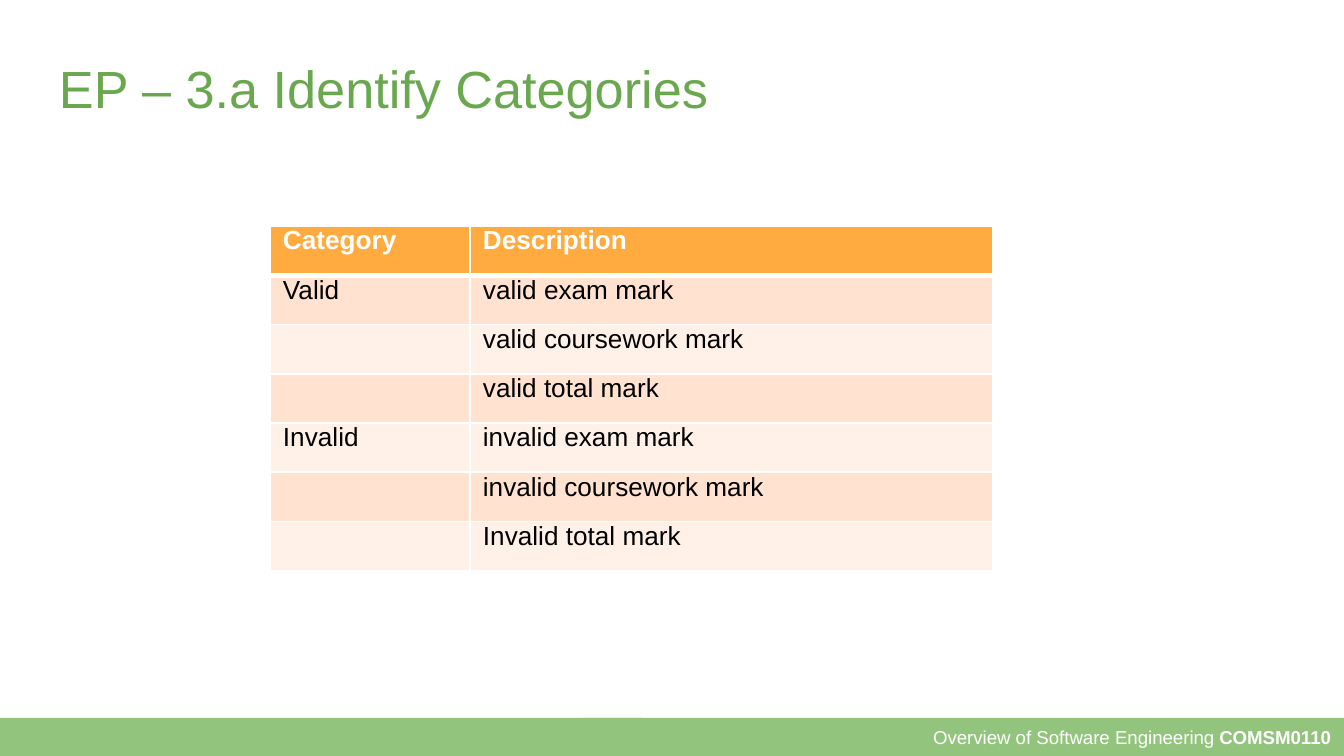
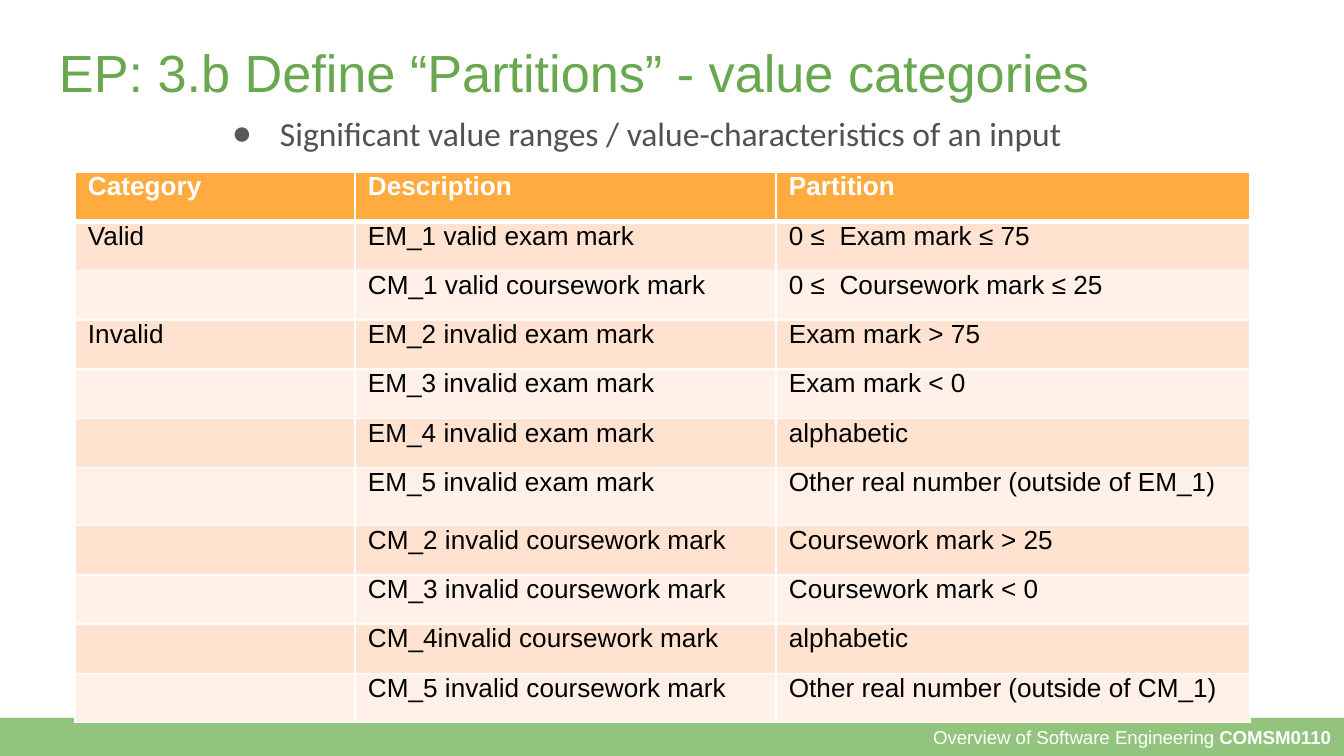
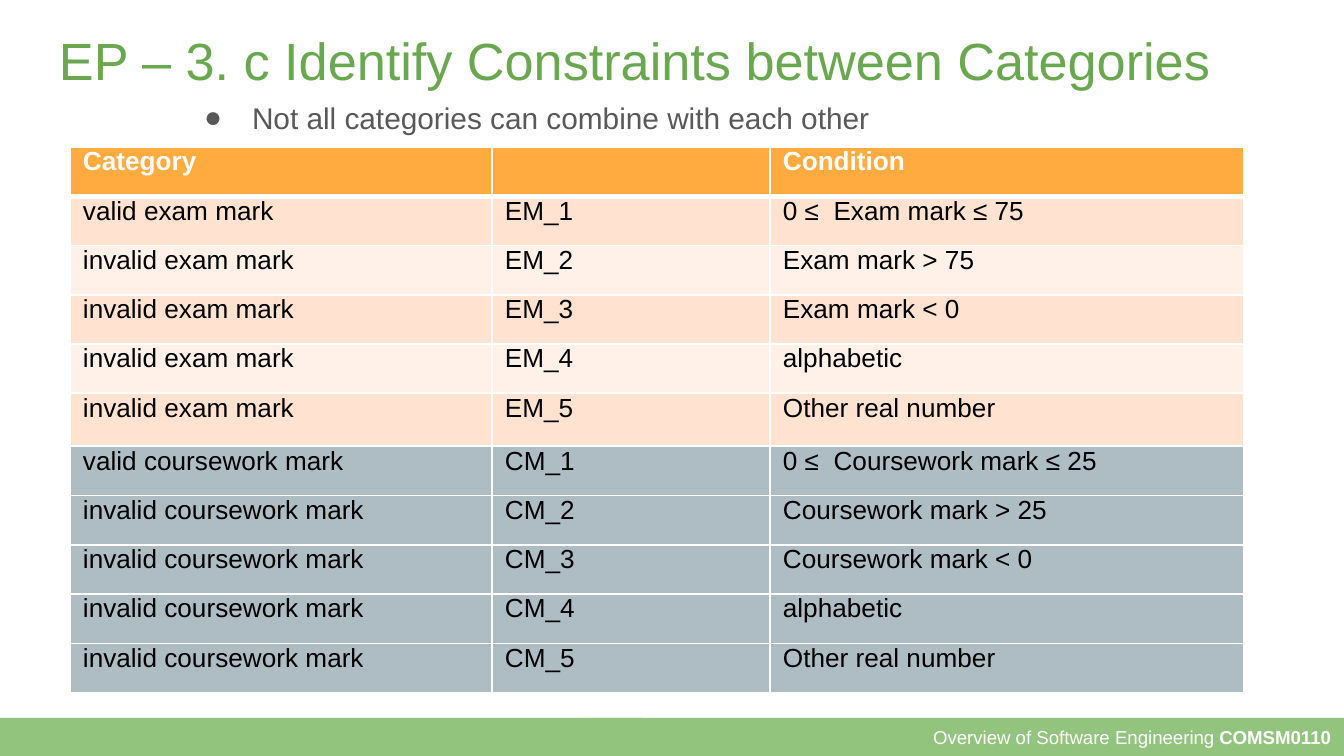
from lxml.etree import SubElement
from pptx import Presentation
from pptx.dml.color import RGBColor
from pptx.enum.shapes import MSO_SHAPE
from pptx.enum.text import MSO_ANCHOR, MSO_AUTO_SIZE, PP_ALIGN
from pptx.oxml.ns import qn
from pptx.util import Emu, Pt

PIXELS_PER_INCH = 134.4
WHITE = "FFFFFF"
BLACK = "000000"
GREEN_TITLE = "6AA84F"
GREEN_BAND = "93C47D"
ORANGE = "FFAB40"
PEACH = "FFE2CF"
PALE_PEACH = "FFF1E8"
BLUE_GREY = "AEBCC4"
GREY = "595959"
DARK_GREY = "515151"
TITLE_ONLY = 5
TITLE_AND_BODY = 1


def px(length):
    return Emu(round(length * 914400 / PIXELS_PER_INCH))


def colour(value):
    return RGBColor.from_string(value)


def apply(target, values):
    for name, value in values.items():
        setattr(target, name, value)


class Deck:
    title_font = {"name": "Arial", "size": Pt(28), "bold": False}
    footer_font = {"name": "Arial", "size": Pt(10)}
    cell_font = {"name": "Arial", "size": Pt(14)}
    frame_format = {
        "word_wrap": True,
        "auto_size": MSO_AUTO_SIZE.NONE,
        "vertical_anchor": MSO_ANCHOR.TOP,
        "margin_left": px(13),
        "margin_right": px(13),
        "margin_top": px(13),
        "margin_bottom": px(13),
    }
    cell_format = {
        "margin_left": px(13),
        "margin_right": px(13),
        "margin_top": 0,
        "margin_bottom": 0,
    }

    def __init__(self):
        self.presentation = Presentation()
        apply(self.presentation, {"slide_width": px(1344), "slide_height": px(756)})
        self.slide = None

    def start(self, layout, title, top):
        self.slide = self.presentation.slides.add_slide(
            self.presentation.slide_layouts[layout])
        self.footer()
        shape = self.slide.shapes.title
        self.place(shape, 46, top, 1253, 85)
        paragraph = shape.text_frame.paragraphs[0]
        paragraph.alignment = PP_ALIGN.LEFT
        self.run(paragraph, title, self.title_font, GREEN_TITLE)

    def place(self, shape, left, top, width, height):
        apply(shape, {"left": px(left), "top": px(top),
                      "width": px(width), "height": px(height)})
        apply(shape.text_frame, self.frame_format)

    def run(self, paragraph, text, font, text_colour, bold=False):
        run = paragraph.add_run()
        run.text = text
        apply(run.font, {**font, "bold": bold})
        run.font.color.rgb = colour(text_colour)

    def band(self, left, width):
        shape = self.slide.shapes.add_shape(
            MSO_SHAPE.RECTANGLE, px(left), px(718), px(width), px(38))
        shape.shadow.inherit = False
        shape.fill.solid()
        shape.fill.fore_color.rgb = colour(GREEN_BAND)
        shape.line.fill.background()
        return shape

    def footer(self):
        shape = self.band(583, 761)
        apply(shape.text_frame,
              {**self.frame_format, "vertical_anchor": MSO_ANCHOR.MIDDLE})
        paragraph = shape.text_frame.paragraphs[0]
        paragraph.alignment = PP_ALIGN.RIGHT
        self.run(paragraph, "Overview of Software Engineering ", self.footer_font, WHITE)
        self.run(paragraph, "COMSM0110", self.footer_font, WHITE, bold=True)
        self.band(0, 642)

    def bullet(self, shape, text, font, text_colour, space_after=0):
        paragraph = shape.text_frame.paragraphs[0]
        apply(paragraph, {"line_spacing": 1.15, "space_before": Pt(0),
                          "space_after": Pt(space_after), "alignment": PP_ALIGN.LEFT})
        properties = paragraph._p.get_or_add_pPr()
        properties.set("marL", str(px(67)))
        properties.set("indent", str(px(-48)))
        bullet_colour = SubElement(properties, qn("a:buClr"))
        SubElement(bullet_colour, qn("a:srgbClr"), val=GREY)
        SubElement(properties, qn("a:buFont"), typeface="Arial")
        SubElement(properties, qn("a:buChar"), char="●")
        self.run(paragraph, text, font, text_colour)

    def text_box(self, left, top, width, height):
        shape = self.slide.shapes.add_textbox(0, 0, 0, 0)
        self.place(shape, left, top, width, height)
        return shape

    def body(self, left, top, width, height):
        shape = self.slide.placeholders[1]
        self.place(shape, left, top, width, height)
        return shape

    def borders(self, cell, row):
        widths = {"lnL": 1, "lnR": 1, "lnT": 3 if row == 1 else 1,
                  "lnB": 3 if row == 0 else 1}
        properties = cell._tc.get_or_add_tcPr()
        for side, width in widths.items():
            line = SubElement(properties, qn(f"a:{side}"), w=str(Pt(width)))
            fill = SubElement(line, qn("a:solidFill"))
            SubElement(fill, qn("a:srgbClr"), val=WHITE)

    def cell(self, cell, text, row, fill):
        apply(cell, self.cell_format)
        self.borders(cell, row)
        cell.fill.solid()
        cell.fill.fore_color.rgb = colour(fill)
        if text:
            header = row == 0
            self.run(cell.text_frame.paragraphs[0], text, self.cell_font,
                     WHITE if header else BLACK, bold=header)

    def table(self, left, top, widths, height, rows, tall_rows=None, grey_from=None):
        tall_rows = tall_rows or {}
        row_height = (height - sum(tall_rows.values())) / (len(rows) - len(tall_rows))
        table = self.slide.shapes.add_table(
            len(rows), len(widths), px(left), px(top), px(sum(widths)), px(height)).table
        table.horz_banding = False
        for column, width in zip(table.columns, widths):
            column.width = px(width)
        for index, texts in enumerate(rows):
            table.rows[index].height = px(tall_rows.get(index, row_height))
            if index == 0:
                fill = ORANGE
            elif grey_from and index >= grey_from:
                fill = BLUE_GREY
            else:
                fill = PEACH if index % 2 else PALE_PEACH
            for column, text in enumerate(texts):
                self.cell(table.cell(index, column), text, index, fill)


def categories_slide(deck):
    deck.start(TITLE_ONLY, "EP – 3.a Identify Categories", 43)
    deck.table(270, 226, [200, 523], 345, [
        ("Category", "Description"),
        ("Valid", "valid exam mark"),
        ("", "valid coursework mark"),
        ("", "valid total mark"),
        ("Invalid", "invalid exam mark"),
        ("", "invalid coursework mark"),
        ("", "Invalid total mark"),
    ])


def partitions_slide(deck):
    deck.start(TITLE_ONLY, "EP: 3.b Define “Partitions” - value categories", 27)
    deck.table(75, 172, [280, 421, 474], 551, [
        ("Category", "Description", "Partition"),
        ("Valid", "EM_1 valid exam mark", "0 ≤  Exam mark ≤ 75"),
        ("", "CM_1 valid coursework mark", "0 ≤  Coursework mark ≤ 25"),
        ("Invalid", "EM_2 invalid exam mark", "Exam mark > 75"),
        ("", "EM_3 invalid exam mark", "Exam mark < 0"),
        ("", "EM_4 invalid exam mark", "alphabetic"),
        ("", "EM_5 invalid exam mark", "Other real number (outside of EM_1)"),
        ("", "CM_2 invalid coursework mark", "Coursework mark > 25"),
        ("", "CM_3 invalid coursework mark", "Coursework mark < 0"),
        ("", "CM_4invalid coursework mark", "alphabetic"),
        ("", "CM_5 invalid coursework mark", "Other real number (outside of CM_1)"),
    ], tall_rows={6: 58})
    deck.bullet(deck.text_box(200, 94, 1068, 77),
                "Significant value ranges / value-characteristics of an input",
                {"name": "Calibri", "size": Pt(18)}, DARK_GREY)


def constraints_slide(deck):
    deck.start(TITLE_AND_BODY, "EP – 3. c Identify Constraints between Categories", 15)
    deck.bullet(deck.body(172, 81, 900, 85),
                "Not all categories can combine with each other",
                {"name": "Arial", "size": Pt(16)}, GREY, space_after=6)
    deck.table(70, 147, [422, 278, 474], 546, [
        ("Category", "", "Condition"),
        ("valid exam mark", "EM_1", "0 ≤  Exam mark ≤ 75"),
        ("invalid exam mark", "EM_2", "Exam mark > 75"),
        ("invalid exam mark", "EM_3", "Exam mark < 0"),
        ("invalid exam mark", "EM_4", "alphabetic"),
        ("invalid exam mark", "EM_5", "Other real number"),
        ("valid coursework mark", "CM_1", "0 ≤  Coursework mark ≤ 25"),
        ("invalid coursework mark", "CM_2", "Coursework mark > 25"),
        ("invalid coursework mark", "CM_3", "Coursework mark < 0"),
        ("invalid coursework mark", "CM_4", "alphabetic"),
        ("invalid coursework mark", "CM_5", "Other real number"),
    ], tall_rows={5: 53}, grey_from=6)


def main():
    deck = Deck()
    categories_slide(deck)
    partitions_slide(deck)
    constraints_slide(deck)
    deck.presentation.save("out.pptx")


if __name__ == "__main__":
    main()
